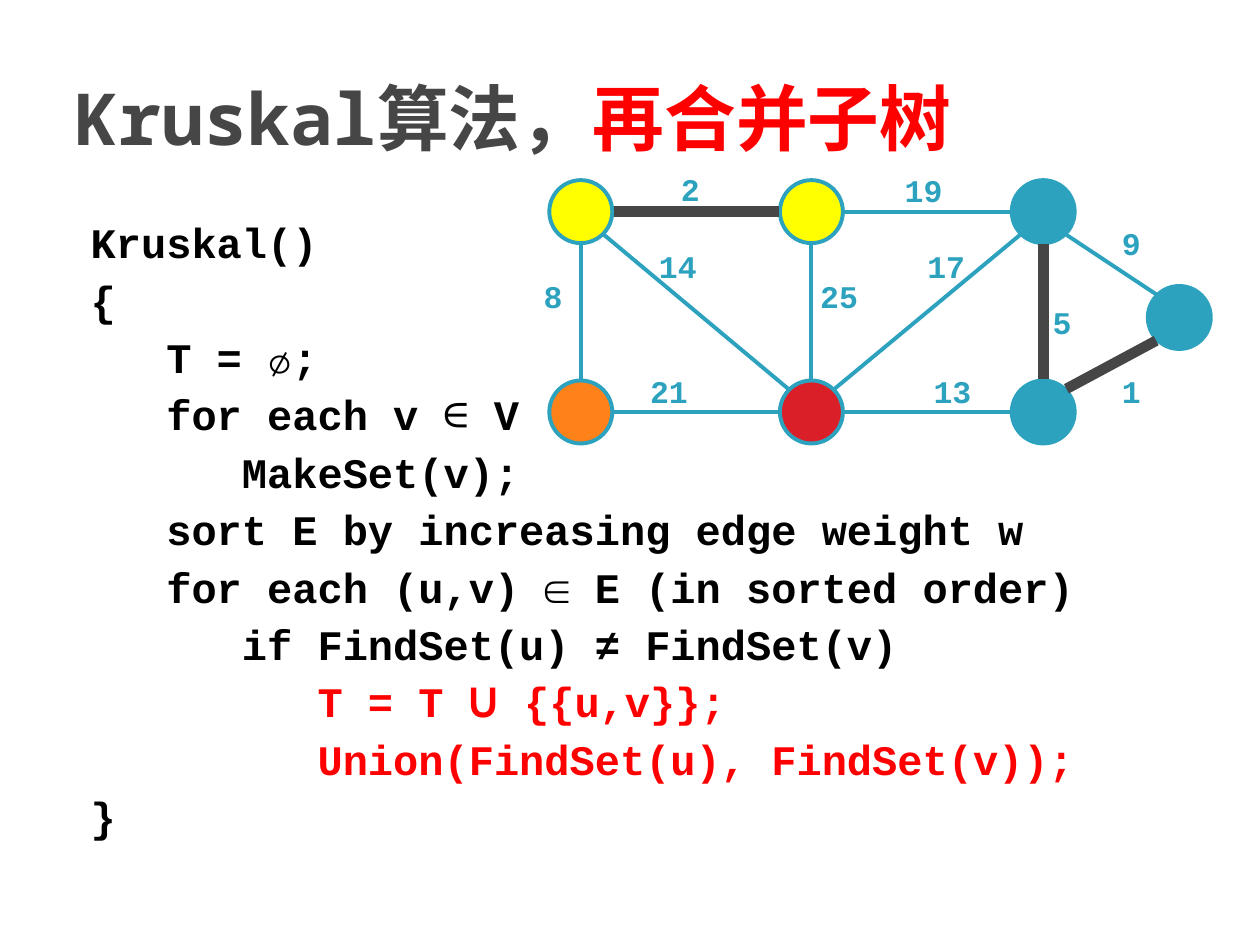
from dataclasses import dataclass
from math import copysign, hypot

from lxml.etree import SubElement
from pptx import Presentation
from pptx.dml.color import RGBColor
from pptx.enum.shapes import MSO_CONNECTOR as Link, MSO_SHAPE as Form
from pptx.enum.text import MSO_ANCHOR as Anchor, MSO_AUTO_SIZE as Fit, PP_ALIGN as Align
from pptx.oxml.ns import qn
from pptx.util import Inches, Pt

TEAL = RGBColor(0x2D, 0xA2, 0xBF)
GRAY = RGBColor(0x46, 0x46, 0x46)
YELLOW = RGBColor(0xFF, 0xFF, 0x00)
ORANGE = RGBColor(0xFF, 0x81, 0x19)
CRIMSON = RGBColor(0xDA, 0x1F, 0x28)
RED = RGBColor(0xFF, 0x00, 0x00)
BLACK = RGBColor(0x00, 0x00, 0x00)

CODE_FONT = "Courier New"
MONO = "Noto Sans Mono"
SIZE = 0.5    # node diameter
REACH = 0.26  # from a node's centre to the end of its edges


@dataclass(frozen=True)
class Node:
    x: float
    y: float
    fill: RGBColor


@dataclass(frozen=True)
class Edge:
    start: Node
    end: Node
    weight: int
    x: float  # centre of the label
    y: float  # top of the label
    chosen: bool = False


@dataclass(frozen=True)
class Run:
    text: str
    font: str = CODE_FONT
    bold: bool = True


@dataclass(frozen=True)
class Line:
    runs: tuple[Run, ...]
    color: RGBColor = BLACK


LEFT, MID, RIGHT = 4.61, 6.44, 8.28
UPPER, LOWER = 1.68, 3.27
A = Node(LEFT, UPPER, YELLOW)
B = Node(MID, UPPER, YELLOW)
C = Node(RIGHT, UPPER, TEAL)
D = Node(RIGHT, LOWER, TEAL)
E = Node(9.36, 2.52, TEAL)
F = Node(MID, LOWER, CRIMSON)
G = Node(LEFT, LOWER, ORANGE)
NODES = (A, B, C, D, E, F, G)

EDGES = (
    Edge(A, B, 2, 5.48, 1.3, True),
    Edge(B, C, 19, 7.33, 1.31),
    Edge(C, F, 17, 7.51, 1.91),
    Edge(F, G, 21, 5.31, 2.9),
    Edge(G, A, 8, 4.39, 2.15),
    Edge(A, F, 14, 5.38, 1.91),
    Edge(F, B, 25, 6.66, 2.15),
    Edge(F, D, 13, 7.56, 2.9),
    Edge(D, C, 5, 8.43, 2.36, True),
    Edge(C, E, 9, 8.98, 1.73),
    Edge(D, E, 1, 8.98, 2.9, True),
)

CODE = (
    Line((Run("Kruskal()"),)),
    Line((Run("{"),)),
    Line((Run("   T = ∅;"),)),
    Line((Run("   for each v "), Run("∈", MONO, False), Run(" V"))),
    Line((Run("      MakeSet(v);"),)),
    Line((Run("   sort E by increasing edge weight w"),)),
    Line((Run("   for each (u,v) ∈ E (in sorted order)"),)),
    Line((Run("      if FindSet(u) ≠ FindSet(v)"),)),
    Line((Run("         T = T "), Run("U", "Cabin"), Run(" {{u,v}};")), RED),
    Line((Run("         Union(FindSet(u), FindSet(v));"),), RED),
    Line((Run("}"),)),
)


def set_title(title) -> None:
    title.left, title.top = Inches(0.5), Inches(0.3)
    title.width, title.height = Inches(9), Inches(1.25)
    frame = title.text_frame
    frame.vertical_anchor = Anchor.MIDDLE
    para = frame.paragraphs[0]
    para.alignment = Align.LEFT
    para.font.size, para.font.bold, para.font.name = Pt(41), True, MONO
    for text, color in (("Kruskal算法，", GRAY), ("再合并子树", RED)):
        run = para.add_run()
        run.text = text
        run.font.color.rgb = color


def add_code(shapes) -> None:
    box = shapes.add_textbox(Inches(0.5), Inches(1.62), Inches(9), Inches(4.95))
    frame = box.text_frame
    frame.word_wrap = True
    frame.margin_left, frame.margin_top = Inches(0.22), Inches(0.1)
    for i, line in enumerate(CODE):
        para = frame.add_paragraph() if i else frame.paragraphs[0]
        para.space_before = Pt(4 if i else 0)
        para.line_spacing = Pt(28.8)
        para.font.size, para.font.color.rgb = Pt(24), line.color
        for part in line.runs:
            run = para.add_run()
            run.text = part.text
            run.font.name, run.font.bold = part.font, part.bold


def add_node(shapes, node: Node) -> None:
    oval = shapes.add_shape(Form.OVAL, Inches(node.x - SIZE / 2),
                            Inches(node.y - SIZE / 2), Inches(SIZE), Inches(SIZE))
    oval.shadow.inherit = False
    oval.fill.solid()
    oval.fill.fore_color.rgb = node.fill
    oval.line.color.rgb, oval.line.width = TEAL, Pt(2.25)


def dock(node: Node, other: Node) -> tuple[int, int]:
    """Point beside node, on the nearest of eight compass directions, facing other."""
    dx, dy = (copysign(1, d) if d else 0
              for d in (other.x - node.x, other.y - node.y))
    step = REACH / hypot(dx, dy)
    return Inches(node.x + dx * step), Inches(node.y + dy * step)


def add_edge(shapes, edge: Edge) -> None:
    line = shapes.add_connector(Link.STRAIGHT, *dock(edge.start, edge.end),
                                *dock(edge.end, edge.start))
    line.line.color.rgb = GRAY if edge.chosen else TEAL
    line.line.width = Pt(6 if edge.chosen else 2.25)
    SubElement(line._element.spPr, qn("a:effectLst"))


def add_weight(shapes, edge: Edge) -> None:
    text = str(edge.weight)
    width = 0.21 + 0.16 * len(text)
    box = shapes.add_textbox(Inches(edge.x - width / 2), Inches(edge.y),
                             Inches(width), Inches(0.43))
    frame = box.text_frame
    frame.word_wrap, frame.auto_size = False, Fit.SHAPE_TO_FIT_TEXT
    para = frame.paragraphs[0]
    para.text, para.alignment = text, Align.CENTER
    para.font.size, para.font.bold = Pt(18), True
    para.font.name, para.font.color.rgb = CODE_FONT, TEAL


def main() -> None:
    deck = Presentation()
    deck.slide_width, deck.slide_height = Inches(10), Inches(7.5)
    shapes = deck.slides.add_slide(deck.slide_layouts[5]).shapes
    set_title(shapes.title)
    add_code(shapes)
    for node in NODES:
        add_node(shapes, node)
    for edge in EDGES:
        add_edge(shapes, edge)
    for edge in EDGES:
        add_weight(shapes, edge)
    deck.save("out.pptx")


if __name__ == "__main__":
    main()
